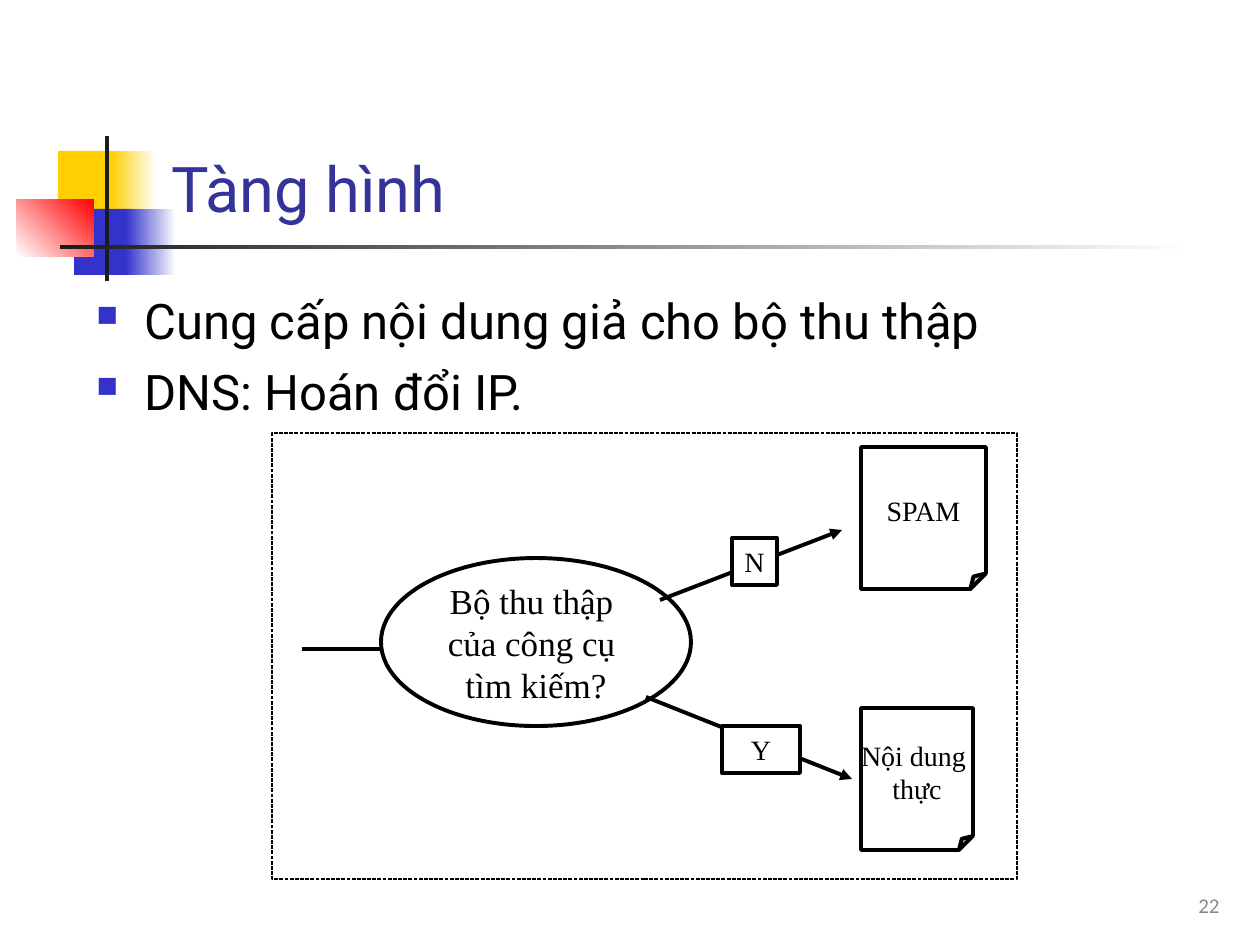
from dataclasses import dataclass

from lxml.etree import SubElement
from pptx import Presentation
from pptx.dml.color import RGBColor
from pptx.enum.dml import MSO_LINE
from pptx.enum.shapes import MSO_CONNECTOR, MSO_SHAPE as SHAPE
from pptx.enum.text import MSO_ANCHOR as ANCHOR, PP_ALIGN as ALIGN
from pptx.oxml.ns import qn
from pptx.util import Emu, Pt

PX_PER_INCH = 126


@dataclass(frozen=True)
class Theme:
    black: str = "000000"
    white: str = "FFFFFF"
    yellow: str = "FFCF01"
    blue: str = "3333CC"
    red: str = "FF0000"
    bar: str = "1C1C1C"
    title: str = "333399"
    number: str = "898989"
    heading_font: str = "Roboto"
    diagram_font: str = "Times New Roman"
    number_font: str = "Calibri"
    title_size: int = 36
    body_size: int = 28
    question_size: int = 20
    label_size: int = 16
    number_size: int = 12
    stroke: float = 2.25
    thin: float = 0.75


def px(n):
    return Emu(round(n * 914400 / PX_PER_INCH))


def rgb(color):
    return RGBColor.from_string(color)


def write(tf, text, *, size, font, color, align=ALIGN.LEFT, anchor=ANCHOR.TOP,
          wrap=True, before=0, bullet=None):
    """Fill a text frame, one paragraph per line; bullet is its colour."""
    tf.word_wrap = wrap
    tf.vertical_anchor = anchor
    for i, line in enumerate(text.split("\n")):
        p = tf.paragraphs[0] if i == 0 else tf.add_paragraph()
        p.alignment = align
        p.space_before = Pt(before)
        r = p.add_run()
        r.text = line
        r.font.size = Pt(size)
        r.font.name = font
        r.font.color.rgb = rgb(color)
        if bullet:
            add_bullet(p, bullet)


def add_bullet(p, color):
    ppr = p._p.get_or_add_pPr()
    indent = px(48)
    ppr.set("marL", str(indent))
    ppr.set("indent", str(-indent))
    SubElement(SubElement(ppr, qn("a:buClr")), qn("a:srgbClr"), val=color)
    SubElement(ppr, qn("a:buSzPct"), val="60000")
    SubElement(ppr, qn("a:buChar"), char="■")


class SlideBuilder:
    def __init__(self, slide, theme):
        self.s = slide
        self.theme = theme

    def block(self, x, y, w, h, *colors, angle=0):
        """Borderless rectangle: one colour is solid, two make a gradient."""
        sp = self.s.shapes.add_shape(SHAPE.RECTANGLE, px(x), px(y), px(w), px(h))
        sp.shadow.inherit = False
        sp.line.fill.background()
        if len(colors) == 1:
            sp.fill.solid()
            sp.fill.fore_color.rgb = rgb(colors[0])
            return
        sp.fill.gradient()
        sp.fill.gradient_angle = angle
        for stop, color in zip(sp.fill.gradient_stops, colors):
            stop.color.rgb = rgb(color)

    def text(self, x, y, w, h, text, **fmt):
        sp = self.s.shapes.add_textbox(px(x), px(y), px(w), px(h))
        write(sp.text_frame, text, **fmt)

    def node(self, kind, x, y, w, h, text="", size=None, align=ALIGN.CENTER,
             anchor=ANCHOR.MIDDLE, wrap=False, stroke=None):
        t = self.theme
        sp = self.s.shapes.add_shape(kind, px(x), px(y), px(w), px(h))
        sp.shadow.inherit = False
        sp.fill.solid()
        sp.fill.fore_color.rgb = rgb(t.white)
        sp.line.color.rgb = rgb(t.black)
        sp.line.width = Pt(stroke or t.stroke)
        if text:
            write(sp.text_frame, text, size=size or t.label_size,
                  font=t.diagram_font, color=t.black, align=align,
                  anchor=anchor, wrap=wrap)
        return sp

    def page(self, x, y, w, h, text):
        sp = self.node(SHAPE.FOLDED_CORNER, x, y, w, h, text)
        guides = sp._element.spPr.find(qn("a:prstGeom")).get_or_add_avLst()
        SubElement(guides, qn("a:gd"), name="adj", fmla="val 12500")

    def arrow(self, x1, y1, x2, y2):
        c = self.s.shapes.add_connector(MSO_CONNECTOR.STRAIGHT,
                                        px(x1), px(y1), px(x2), px(y2))
        c.line.color.rgb = rgb(self.theme.black)
        c.line.width = Pt(self.theme.stroke)
        SubElement(c.line._get_or_add_ln(), qn("a:tailEnd"), type="triangle")
        SubElement(c._element.spPr, qn("a:effectLst"))


def add_decoration(b):
    t = b.theme
    b.block(58, 151, 60, 66, t.yellow)
    b.block(111, 151, 45, 66, t.yellow, t.white)
    b.block(74, 209, 58, 66, t.blue)
    b.block(126, 209, 50, 66, t.blue, t.white)
    b.block(17, 199, 77, 58, t.white, t.red, angle=45)
    b.block(105, 136, 4, 145, t.bar)
    b.block(60, 245, 1134, 4, t.bar, t.white)


def add_texts(b):
    t = b.theme
    b.text(159, 29, 1074, 202, "Tàng hình", size=t.title_size,
           font=t.heading_font, color=t.title, anchor=ANCHOR.BOTTOM)
    b.text(84, 284, 1071, 149,
           "Cung cấp nội dung giả cho bộ thu thập\nDNS: Hoán đổi IP.",
           size=t.body_size, font=t.heading_font, color=t.black,
           before=7, bullet=t.blue)
    b.text(970, 861, 262, 63, "22", size=t.number_size, font=t.number_font,
           color=t.number, align=ALIGN.RIGHT, anchor=ANCHOR.BOTTOM)


def add_diagram(b):
    t = b.theme
    frame = b.node(SHAPE.RECTANGLE, 272, 433, 745, 446, stroke=t.thin)
    frame.line.dash_style = MSO_LINE.SQUARE_DOT
    b.arrow(302, 649, 498, 649)
    b.node(SHAPE.OVAL, 381, 558, 310, 168,
           "Bộ thu thập \ncủa công cụ \ntìm kiếm?", t.question_size)
    b.arrow(660, 600, 842, 530)
    b.arrow(646, 697, 852, 779)
    b.node(SHAPE.RECTANGLE, 732, 538, 45, 47, "N",
           align=ALIGN.LEFT, anchor=ANCHOR.TOP)
    b.node(SHAPE.RECTANGLE, 722, 726, 78, 47, "Y",
           anchor=ANCHOR.TOP, wrap=True)
    b.page(861, 447, 125, 142, "SPAM")
    b.page(861, 708, 112, 142, "Nội dung \nthực")


def main():
    prs = Presentation()
    prs.slide_width, prs.slide_height = px(1260), px(945)
    b = SlideBuilder(prs.slides.add_slide(prs.slide_layouts[6]), Theme())
    add_decoration(b)
    add_texts(b)
    add_diagram(b)
    prs.save("out.pptx")


if __name__ == "__main__":
    main()
